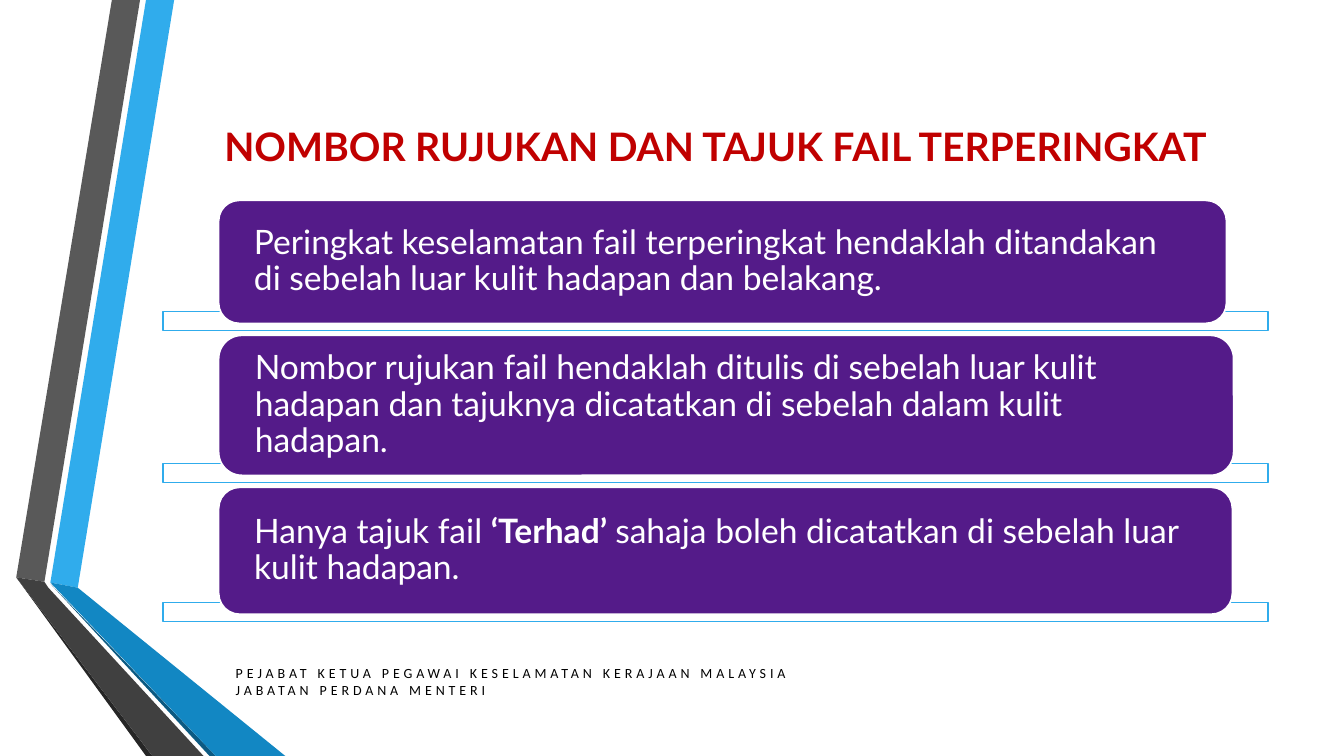
from typing import NamedTuple

from pptx import Presentation
from pptx.dml.color import RGBColor
from pptx.enum.shapes import MSO_SHAPE
from pptx.enum.text import MSO_ANCHOR, PP_ALIGN
from pptx.util import Cm, Pt

COLORS = {
    "white": "FFFFFF",
    "black": "000000",
    "red": "C00000",
    "purple": "541B89",
    "blue": "30ACEC",
    "blue_fold": "1287C3",
    "blue_edge": "0C5A82",
    "grey": "595959",
    "grey_fold": "404040",
    "grey_edge": "262626",
}
SLIDE_WIDTH, SLIDE_HEIGHT = 33.87, 19.05
CONTENT_LEFT, CONTENT_WIDTH = 4.11, 27.84
RULE_LEFT, FIRST_RULE_TOP, RULE_GAP = 5.51, 5.05, 0.3
BAR_HEIGHT, BAR_OVERLAP = 0.48, 0.3


class Run(NamedTuple):
    text: str
    bold: bool = False


class Ribbon(NamedTuple):
    color: str
    corners: list[tuple[float, float]]


class Rule(NamedTuple):
    width: float
    height: float
    runs: list[Run]


RIBBONS = [
    Ribbon("blue", [(1.27, 14.68), (1.96, 14.81), (4.39, 0), (3.68, 0)]),
    Ribbon("grey", [(3.53, 0), (2.82, 0), (0.41, 14.55), (1.12, 14.66)]),
    Ribbon("grey_edge", [(0.41, 14.55), (3.68, SLIDE_HEIGHT), (3.84, SLIDE_HEIGHT)]),
    Ribbon("blue_edge", [(1.27, 14.71), (5.28, SLIDE_HEIGHT), (5.44, SLIDE_HEIGHT)]),
    Ribbon("blue_fold", [(1.27, 14.68), (5.44, SLIDE_HEIGHT),
                         (7.19, SLIDE_HEIGHT), (1.96, 14.81)]),
    Ribbon("grey_fold", [(5.13, SLIDE_HEIGHT), (1.22, 14.81), (1.12, 14.66),
                         (0.41, 14.55), (3.84, SLIDE_HEIGHT)]),
]
RULES = [
    Rule(25.4, 3.1, [Run("Peringkat keselamatan fail terperingkat hendaklah ditandakan "
                         "di sebelah luar kulit hadapan dan belakang.")]),
    Rule(25.58, 3.53, [Run("Nombor rujukan fail hendaklah ditulis di sebelah luar kulit hadapan "
                           "dan tajuknya dicatatkan di sebelah dalam kulit hadapan.")]),
    Rule(25.55, 3.2, [Run("Hanya tajuk fail "), Run("‘Terhad’ ", bold=True),
                      Run("sahaja boleh dicatatkan di sebelah luar kulit hadapan.")]),
]


def rgb(color: str) -> RGBColor:
    return RGBColor.from_string(COLORS[color])


def paint(shape, fill: str, line: str | None = None) -> None:
    shape.shadow.inherit = False
    shape.fill.solid()
    shape.fill.fore_color.rgb = rgb(fill)
    if line:
        shape.line.color.rgb = rgb(line)
        shape.line.width = Pt(1.25)
    else:
        shape.line.fill.background()


def write(shape, paragraphs: list[list[Run]], *, size: float, color: str,
          font: str = "Lato", align=PP_ALIGN.LEFT, anchor=MSO_ANCHOR.MIDDLE,
          line_spacing: float = 1.0, tracking: float = 0,
          side_inset: float = 0.25, end_inset: float = 0.13) -> None:
    """Fill a shape with paragraphs; tracking is in points, insets in cm."""
    frame = shape.text_frame
    frame.word_wrap = True
    frame.vertical_anchor = anchor
    frame.margin_left = frame.margin_right = Cm(side_inset)
    frame.margin_top = frame.margin_bottom = Cm(end_inset)
    for index, runs in enumerate(paragraphs):
        paragraph = frame.add_paragraph() if index else frame.paragraphs[0]
        paragraph.alignment = align
        paragraph.line_spacing = line_spacing
        for part in runs:
            run = paragraph.add_run()
            run.text = part.text
            run.font.name = font
            run.font.size = Pt(size)
            run.font.bold = part.bold
            run.font.color.rgb = rgb(color)
            if tracking:
                run._r.get_or_add_rPr().set("spc", str(round(tracking * 100)))


def draw_ribbon(slide, ribbon: Ribbon) -> None:
    start, *others = [(Cm(x), Cm(y)) for x, y in ribbon.corners]
    builder = slide.shapes.build_freeform(*start)
    builder.add_line_segments(others, close=True)
    paint(builder.convert_to_shape(), ribbon.color)


def draw_rule(slide, rule: Rule, top: float) -> None:
    """Draw a rule's card in front of the thin bar at its foot."""
    bar = slide.shapes.add_shape(
        MSO_SHAPE.RECTANGLE, Cm(CONTENT_LEFT), Cm(top + rule.height - BAR_OVERLAP),
        Cm(CONTENT_WIDTH), Cm(BAR_HEIGHT))
    paint(bar, "white", line="blue")
    card = slide.shapes.add_shape(
        MSO_SHAPE.ROUNDED_RECTANGLE, Cm(RULE_LEFT), Cm(top), Cm(rule.width), Cm(rule.height))
    paint(card, "purple", line="white")
    write(card, [rule.runs], size=24, color="white", line_spacing=0.9,
          side_inset=0.74, end_inset=0)


def main() -> None:
    presentation = Presentation()
    presentation.slide_width = Cm(SLIDE_WIDTH)
    presentation.slide_height = Cm(SLIDE_HEIGHT)
    slide = presentation.slides.add_slide(presentation.slide_layouts[6])

    for ribbon in RIBBONS:
        draw_ribbon(slide, ribbon)

    title = slide.shapes.add_textbox(Cm(CONTENT_LEFT), Cm(1.9), Cm(CONTENT_WIDTH), Cm(3.56))
    write(title, [[Run("NOMBOR RUJUKAN DAN TAJUK FAIL TERPERINGKAT", bold=True)]],
          size=28, color="red", align=PP_ALIGN.CENTER)

    top = FIRST_RULE_TOP
    for rule in RULES:
        draw_rule(slide, rule, top)
        top += rule.height + RULE_GAP

    office = slide.shapes.add_textbox(Cm(5.69), Cm(16.61), Cm(16.97), Cm(1.12))
    write(office, [[Run("PEJABAT KETUA PEGAWAI KESELAMATAN KERAJAAN MALAYSIA")],
                   [Run("JABATAN PERDANA MENTERI")]],
          size=10, color="black", font="Calibri", anchor=MSO_ANCHOR.TOP, tracking=2.8)

    presentation.save("out.pptx")


if __name__ == "__main__":
    main()
